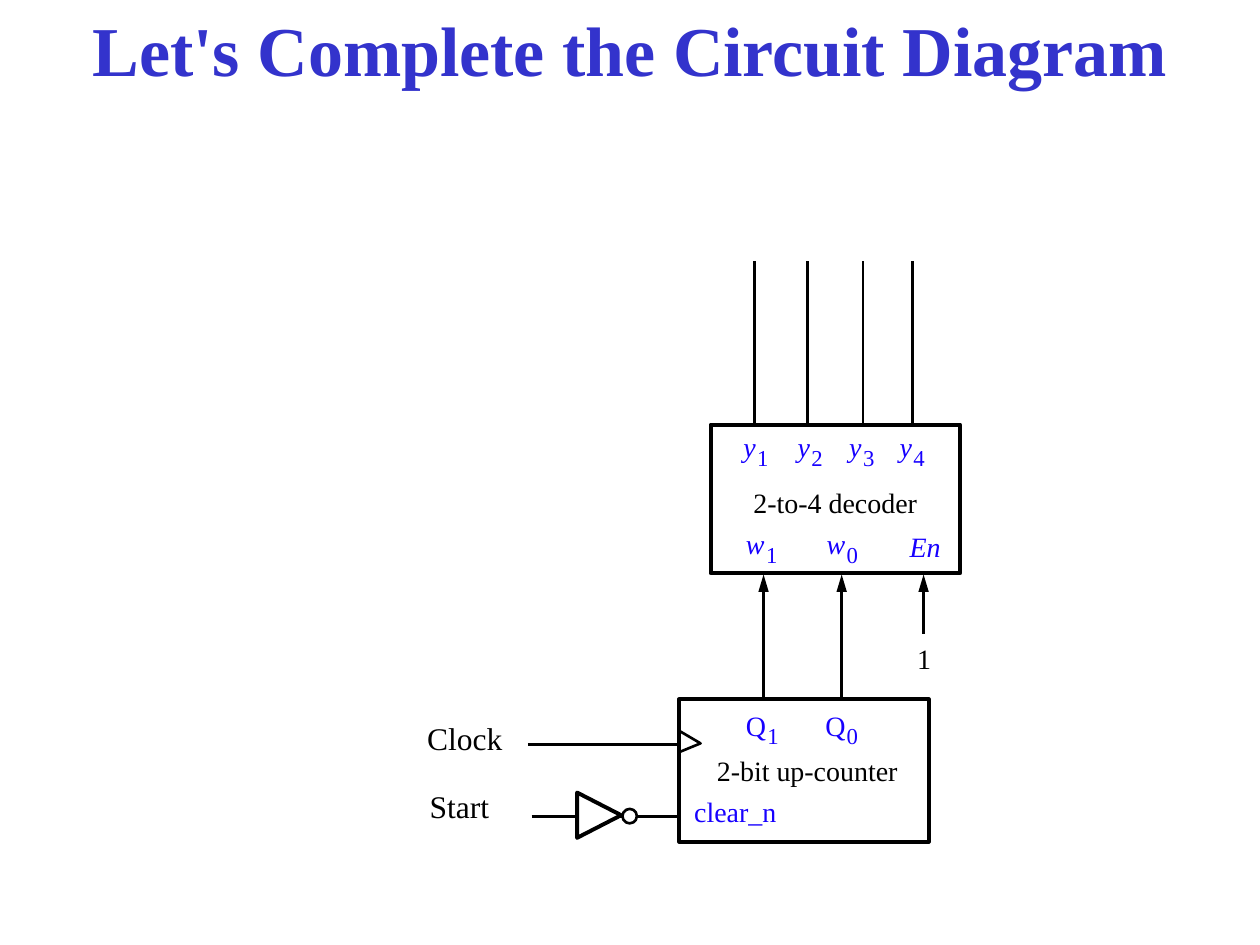
from pptx import Presentation
from pptx.dml.color import RGBColor
from pptx.enum.shapes import MSO_CONNECTOR, MSO_SHAPE
from pptx.enum.text import MSO_ANCHOR, MSO_AUTO_SIZE, PP_ALIGN
from pptx.oxml.ns import qn
from pptx.util import Inches, Pt
from lxml import etree

STRAIGHT = MSO_CONNECTOR.STRAIGHT
RECTANGLE, OVAL = MSO_SHAPE.RECTANGLE, MSO_SHAPE.OVAL
LEFT, CENTER = PP_ALIGN.LEFT, PP_ALIGN.CENTER
TOP, MIDDLE = MSO_ANCHOR.TOP, MSO_ANCHOR.MIDDLE
FIT, FIXED = MSO_AUTO_SIZE.SHAPE_TO_FIT_TEXT, MSO_AUTO_SIZE.NONE

FONT = "Times New Roman"
BLACK, WHITE, SIGNAL, HEADING = "000000", "FFFFFF", "1700FF", "3333CC"
THIN, THICK = 1.5, 2.25

# The page is a grid of 100 columns by 75 rows
COLUMNS, ROWS = 100, 75
CELL = Inches(10) // COLUMNS


def cells(*counts):
    return [round(count * CELL) for count in counts]


def color(code):
    return RGBColor.from_string(code)


def add_text(frame, text, size=16, ink=BLACK, bold=False, italic=False, align=LEFT):
    para = frame.paragraphs[0]
    para.alignment = align
    span = para.add_run()
    span.text = text
    font = span.font
    font.name, font.size, font.bold, font.italic = FONT, Pt(size), bold, italic
    font.color.rgb = color(ink)


class Circuit:
    """Draws circuit parts on one page, measured in grid cells."""

    def __init__(self, page):
        self.shapes = page.shapes

    def outline(self, shape, width, fill):
        shape.shadow.inherit = False
        shape.line.color.rgb = color(BLACK)
        shape.line.width = Pt(width)
        if fill:
            shape.fill.solid()
            shape.fill.fore_color.rgb = color(fill)
        else:
            shape.fill.background()

    def box(self, left, top, width, height, kind=RECTANGLE, line=THICK, fill=None):
        shape = self.shapes.add_shape(kind, *cells(left, top, width, height))
        self.outline(shape, line, fill)

    def polygon(self, points, line=THICK, fill=None, close=True):
        corners = [cells(*point) for point in points]
        builder = self.shapes.build_freeform(*corners[0])
        builder.add_line_segments(corners[1:], close=close)
        self.outline(builder.convert_to_shape(), line, fill)

    def wire(self, x1, y1, x2, y2, arrow=False):
        wire = self.shapes.add_connector(STRAIGHT, *cells(x1, y1, x2, y2))
        wire.line.color.rgb = color(BLACK)
        wire.line.width = Pt(THIN)
        if arrow:
            etree.SubElement(wire.line._get_or_add_ln(), qn("a:tailEnd"),
                             type="triangle", w="med", len="lg")
        etree.SubElement(wire._element.spPr, qn("a:effectLst"))

    def label(self, text, left, top, width, height=2.7, **style):
        box = self.shapes.add_textbox(*cells(left, top, width, height))
        frame = box.text_frame
        frame.margin_left = frame.margin_right = 0
        frame.margin_top = frame.margin_bottom = 0
        frame.word_wrap = False
        frame.auto_size = FIT
        frame.vertical_anchor = TOP
        add_text(frame, text, **style)

    def signal(self, name, index, left, top, shift, italic=True):
        """A signal name with its index set lower and to the right."""
        self.label(name, left, top, shift + 0.6, ink=SIGNAL, italic=italic)
        self.label(index, left + shift, top + 1.1, 1.4, 2.2, size=13, ink=SIGNAL)

    def title(self, text):
        box = self.shapes.add_textbox(*cells(0, 0.1, COLUMNS, 7.5))
        frame = box.text_frame
        frame.word_wrap = True
        frame.auto_size = FIXED
        frame.vertical_anchor = MIDDLE
        add_text(frame, text, size=40, ink=HEADING, bold=True, align=CENTER)


def main():
    deck = Presentation()
    deck.slide_width, deck.slide_height = cells(COLUMNS, ROWS)
    circuit = Circuit(deck.slides.add_slide(deck.slide_layouts[6]))
    circuit.title("Let's Complete the Circuit Diagram")

    # Up-counter with its clock notch
    circuit.box(53.9, 55.5, 19.8, 11.3)
    circuit.polygon([(53.9, 59.7), (55.6, 59), (53.9, 58)], line=THIN, close=False)
    circuit.label("2-bit up-counter", 56.9, 59.8, 14.6)
    circuit.label("clear_n", 55.1, 63.1, 7.2, ink=SIGNAL)
    for index, left in (("1", 59.2), ("0", 65.5)):
        circuit.signal("Q", index, left, 56.2, 1.7, italic=False)

    # Clock and inverted start inputs
    circuit.label("Clock", 33.9, 57.1, 6, 3, size=18)
    circuit.wire(41.9, 59.1, 54, 59.1)
    circuit.label("Start", 34.1, 62.5, 4.8, 3, size=18)
    circuit.wire(42.2, 64.8, 53.9, 64.8)
    circuit.polygon([(49.3, 64.7), (45.8, 66.5), (45.8, 62.9)], fill=WHITE)
    circuit.box(49.4, 64.2, 1.15, 1.15, kind=OVAL, line=THIN, fill=WHITE)

    # Decoder with its outputs going up
    circuit.box(56.4, 33.7, 19.8, 11.8)
    circuit.label("2-to-4 decoder", 59.8, 38.5, 13.1)
    outputs = ((59, 59.9), (63.3, 64.1), (67.4, 68.5), (71.4, 72.4))
    for number, (left, wire) in enumerate(outputs, start=1):
        circuit.signal("y", str(number), left, 34.1, 1.1)
        circuit.wire(wire, 33.7, wire, 20.75)

    # Decoder inputs, fed by the counter and a constant
    for index, left in (("1", 59.2), ("0", 65.6)):
        circuit.signal("w", index, left, 41.8, 1.6)
    circuit.label("En", 72.2, 42, 2.5, ink=SIGNAL, italic=True)
    circuit.label("1", 72.8, 50.9, 1.7)
    for wire, start in ((60.6, 55.6), (66.8, 55.6), (73.3, 50.3)):
        circuit.wire(wire, start, wire, 45.6, arrow=True)

    deck.save("out.pptx")


if __name__ == "__main__":
    main()
